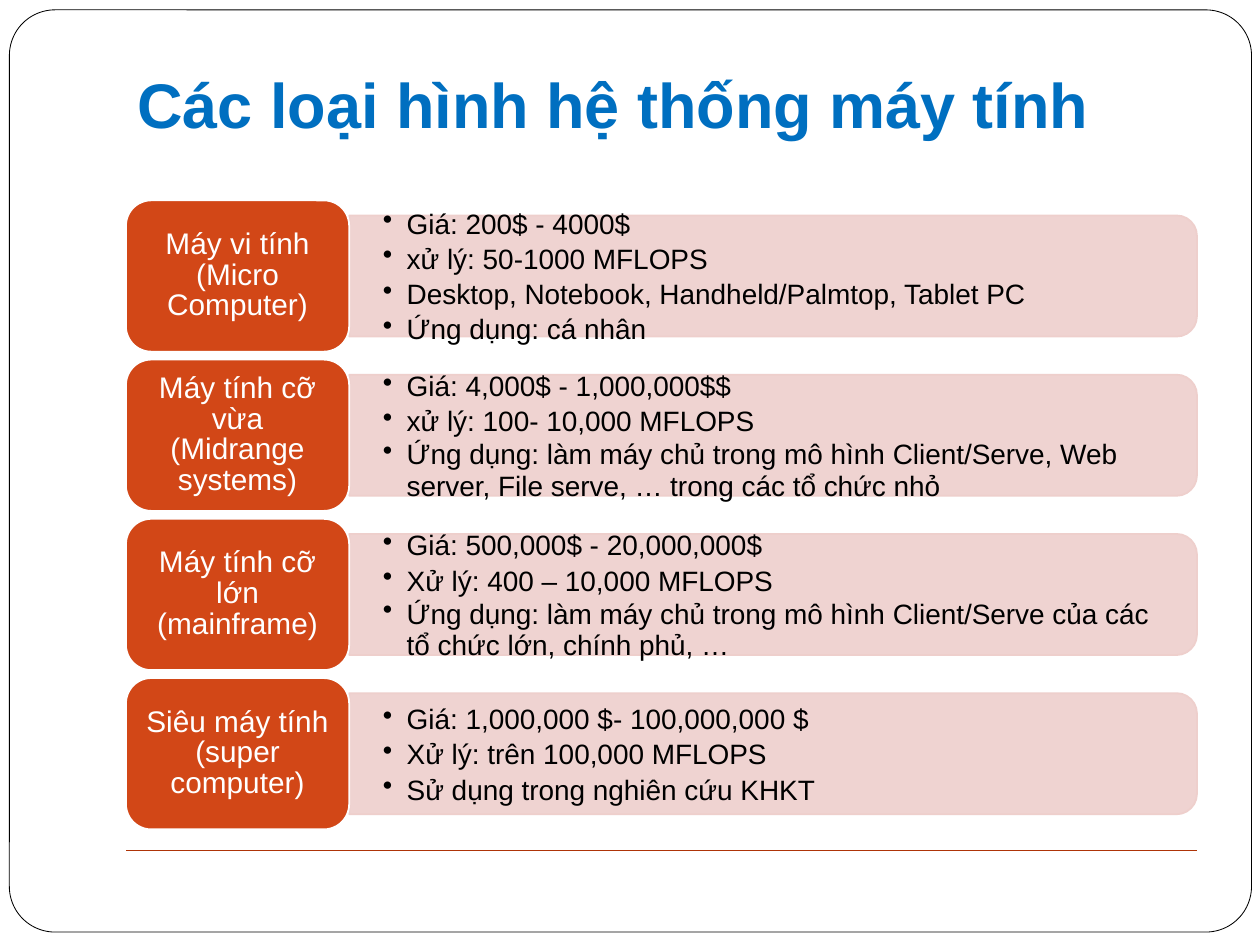
from math import cos, radians, sin

from lxml import etree
from pptx import Presentation
from pptx.dml.color import RGBColor
from pptx.enum.shapes import MSO_CONNECTOR, MSO_SHAPE
from pptx.enum.text import MSO_ANCHOR, PP_ALIGN
from pptx.oxml.ns import qn
from pptx.util import Cm, Pt

ROUNDED = MSO_SHAPE.ROUNDED_RECTANGLE
STRAIGHT = MSO_CONNECTOR.STRAIGHT
MIDDLE = MSO_ANCHOR.MIDDLE
LEFT, CENTER = PP_ALIGN.LEFT, PP_ALIGN.CENTER

BLACK = RGBColor(0x00, 0x00, 0x00)
WHITE = RGBColor(0xFF, 0xFF, 0xFF)
TITLE_BLUE = RGBColor(0x00, 0x6F, 0xC0)
LABEL_ORANGE = RGBColor(0xD2, 0x47, 0x17)
PANEL_PINK = RGBColor(0xEE, 0xCF, 0xCC)
RULE_BROWN = RGBColor(0xAE, 0x34, 0x08)

FONT = "Arial"
LABEL_LEFT, LABEL_WIDTH, LABEL_HEIGHT = 2.54, 4.5, 3.05
PANEL_LEFT, PANEL_RIGHT, PANEL_HEIGHT = 7.04, 24.13, 2.44
PANEL_RADIUS = 0.41
FIRST_ROW_TOP, ROW_PITCH = 4.04, 3.21

SYSTEMS = [
    ("Máy vi tính\v(Micro\vComputer)",
     ["Giá: 200$ - 4000$",
      "xử lý: 50-1000 MFLOPS",
      "Desktop, Notebook, Handheld/Palmtop, Tablet PC",
      "Ứng dụng: cá nhân"]),
    ("Máy tính cỡ\vvừa\v(Midrange\vsystems)",
     ["Giá: 4,000$ - 1,000,000$$",
      "xử lý: 100- 10,000 MFLOPS",
      "Ứng dụng: làm máy chủ trong mô hình Client/Serve, Web "
      "server, File serve, … trong các tổ chức nhỏ"]),
    ("Máy tính cỡ\vlớn\v(mainframe)",
     ["Giá: 500,000$ - 20,000,000$",
      "Xử lý: 400 – 10,000 MFLOPS",
      "Ứng dụng: làm máy chủ trong mô hình Client/Serve của các "
      "tổ chức lớn, chính phủ, …"]),
    ("Siêu máy tính\v(super\vcomputer)",
     ["Giá: 1,000,000 $- 100,000,000 $",
      "Xử lý: trên 100,000 MFLOPS",
      "Sử dụng trong nghiên cứu KHKT"]),
]


def style_text(paragraph, size, color, align, bold=False):
    paragraph.alignment = align
    for run in paragraph.runs:
        font = run.font
        font.name, font.size, font.bold = FONT, Pt(size), bold
        font.color.rgb = color


def style_line(line, color, width):
    line.color.rgb = color
    line.width = Pt(width)


def add_bullet(paragraph):
    properties = paragraph._p.get_or_add_pPr()
    properties.set("marL", str(Cm(0.5)))
    properties.set("indent", str(-Cm(0.48)))
    etree.SubElement(properties, qn("a:buChar"), char="•")


def add_rounded(slide, left, top, width, height, radius):
    shape = slide.shapes.add_shape(ROUNDED, Cm(left), Cm(top), Cm(width), Cm(height))
    shape.shadow.inherit = False
    shape.adjustments[0] = radius / min(width, height)
    return shape


def add_frame(slide):
    frame = add_rounded(slide, 0.19, 0.2, 25.04, 18.59, 0.92)
    frame.fill.background()
    style_line(frame.line, BLACK, 0.48)


def add_rule(slide):
    height = Cm(17.15)
    rule = slide.shapes.add_connector(STRAIGHT, Cm(LABEL_LEFT), height,
                                      Cm(PANEL_RIGHT), height)
    style_line(rule.line, RULE_BROWN, 0.78)
    etree.SubElement(rule._element.spPr, qn("a:effectLst"))


def add_title(slide, text):
    title = slide.shapes.add_textbox(Cm(2.77), Cm(1.32), Cm(19.8), Cm(1.6))
    frame = title.text_frame
    frame.word_wrap = True
    frame.margin_left = frame.margin_right = frame.margin_top = frame.margin_bottom = 0
    frame.text = text
    style_text(frame.paragraphs[0], 36, TITLE_BLUE, LEFT, bold=True)


def corner(center_x, center_y, start):
    angles = [radians(start + step) for step in range(0, 91, 15)]
    return [(Cm(center_x + PANEL_RADIUS * cos(angle)),
             Cm(center_y + PANEL_RADIUS * sin(angle))) for angle in angles]


def add_panel(slide, top, details):
    bottom = top + PANEL_HEIGHT
    corner_x = PANEL_RIGHT - PANEL_RADIUS
    outline = corner(corner_x, top + PANEL_RADIUS, -90)
    outline += corner(corner_x, bottom - PANEL_RADIUS, 0)
    outline.append((Cm(PANEL_LEFT), Cm(bottom)))
    builder = slide.shapes.build_freeform(Cm(PANEL_LEFT), Cm(top))
    builder.add_line_segments(outline, close=True)
    panel = builder.convert_to_shape()
    panel.shadow.inherit = False
    panel.fill.solid()
    panel.fill.fore_color.rgb = PANEL_PINK
    tint = panel._element.spPr.find(qn("a:solidFill"))[0]
    etree.SubElement(tint, qn("a:alpha"), val="90000")
    style_line(panel.line, PANEL_PINK, 1.02)

    frame = panel.text_frame
    frame.word_wrap = True
    frame.vertical_anchor = MIDDLE
    frame.margin_left, frame.margin_right = Cm(0.66), Cm(0.6)
    frame.margin_top = frame.margin_bottom = 0
    frame.text = "\n".join(details)
    for paragraph, detail in zip(frame.paragraphs, details):
        style_text(paragraph, 16, BLACK, LEFT)
        paragraph.space_before = Pt(0.9)
        if len(detail) > 60:
            paragraph.line_spacing = Pt(17.9)
        add_bullet(paragraph)


def add_label(slide, top, name):
    label = add_rounded(slide, LABEL_LEFT, top, LABEL_WIDTH, LABEL_HEIGHT, 0.51)
    label.fill.solid()
    label.fill.fore_color.rgb = LABEL_ORANGE
    style_line(label.line, WHITE, 1.02)
    frame = label.text_frame
    frame.word_wrap = True
    frame.vertical_anchor = MIDDLE
    frame.text = name
    style_text(frame.paragraphs[0], 17, WHITE, CENTER)
    frame.paragraphs[0].line_spacing = 0.86


def main():
    presentation = Presentation()
    presentation.slide_width, presentation.slide_height = Cm(25.4), Cm(19.05)
    slide = presentation.slides.add_slide(presentation.slide_layouts[6])
    add_frame(slide)
    add_rule(slide)
    add_title(slide, "Các loại hình hệ thống máy tính")
    for row, (name, details) in enumerate(SYSTEMS):
        top = FIRST_ROW_TOP + row * ROW_PITCH
        add_panel(slide, top + (LABEL_HEIGHT - PANEL_HEIGHT) / 2, details)
        add_label(slide, top, name)
    presentation.save("out.pptx")


if __name__ == "__main__":
    main()
